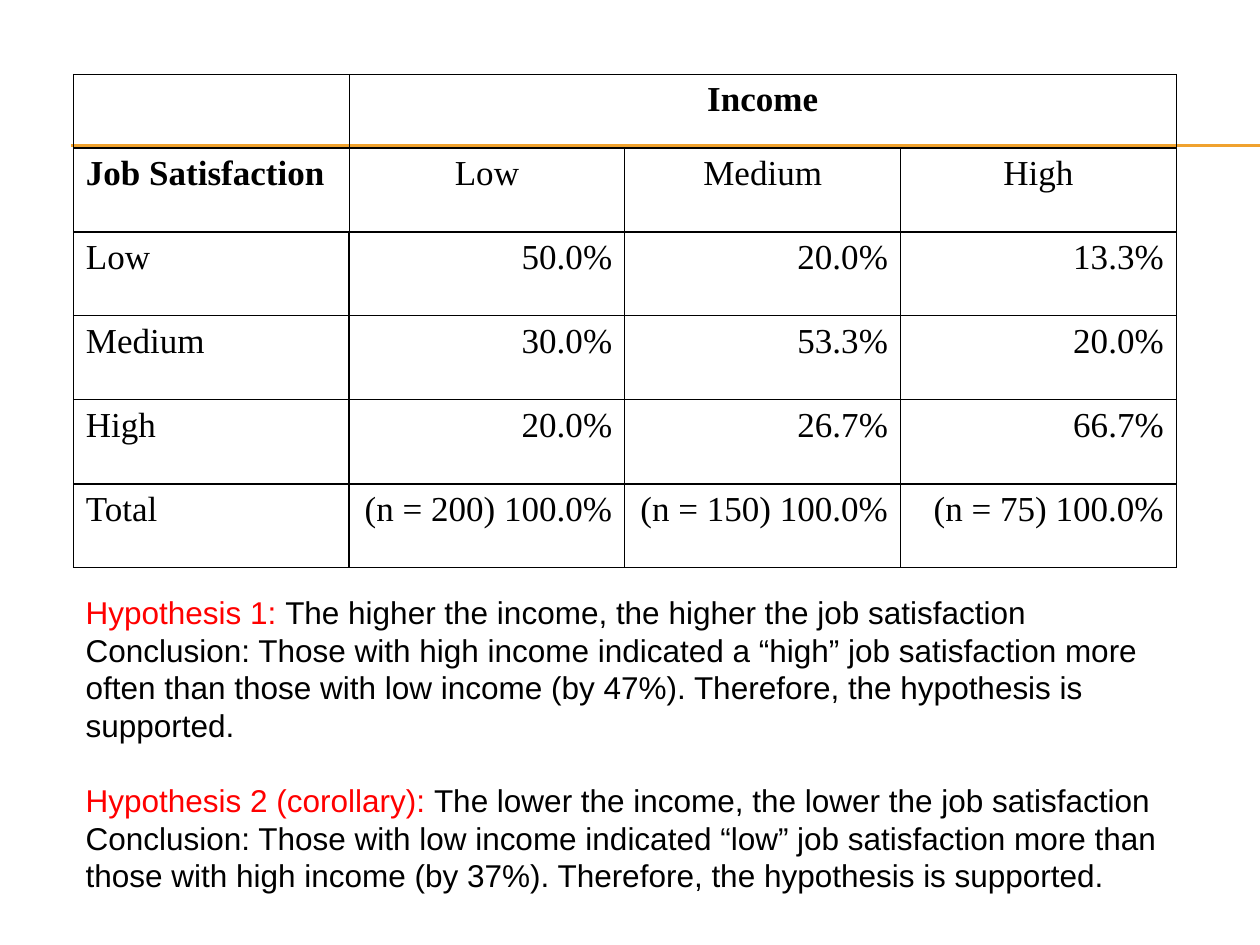
from lxml import etree
from pptx import Presentation
from pptx.dml.color import RGBColor
from pptx.enum import shapes, text
from pptx.oxml.ns import qn
from pptx.util import Pt

THEME = {
    "ink": "000000", "accent": "FF0000", "rule": "F0A22E",
    "table_font": "Times New Roman", "body_font": "Arial",
    "table_size": 20, "body_size": 18, "leading": 21.5,
    "thin": 0.75, "thick": 1,
}

ROWS = [
    ["", "Income", "", ""],
    ["Job Satisfaction", "Low", "Medium", "High"],
    ["Low", "50.0%", "20.0%", "13.3%"],
    ["Medium", "30.0%", "53.3%", "20.0%"],
    ["High", "20.0%", "26.7%", "66.7%"],
    ["Total", "(n = 200) 100.0%", "(n = 150) 100.0%", "(n = 75) 100.0%"],
]
HYPOTHESES = [
    ("Hypothesis 1: ", "The higher the income, the higher the job satisfaction",
     "Conclusion: Those with high income indicated a “high” job satisfaction more often "
     "than those with low income (by 47%). Therefore, the hypothesis is supported."),
    ("Hypothesis 2 (corollary): ", "The lower the income, the lower the job satisfaction",
     "Conclusion: Those with low income indicated “low” job satisfaction more than "
     "those with high income (by 37%). Therefore, the hypothesis is supported."),
]
ROW_HEIGHTS = [42, 48, 48, 48, 48, 48]
COLUMN_WIDTH = 157.6
TABLE_LEFT, TABLE_TOP = 41.9, 42.5
RULE_LEFT, RULE_TOPS = 40.5, (82.8, 83.5)
THICK_ROW_EDGES = {1, 2, 5, 6}
THICK_COLUMN_EDGES = {1, 4}


def write(paragraph, content, font, size, color=THEME["ink"], bold=False):
    run = paragraph.add_run()
    run.text = content
    run.font.name = font
    run.font.size = Pt(size)
    run.font.bold = bold
    run.font.color.rgb = RGBColor.from_string(color)


def add_border(cell, side, width):
    border = etree.SubElement(cell._tc.get_or_add_tcPr(), qn("a:ln" + side), w=str(Pt(width)))
    fill = etree.SubElement(border, qn("a:solidFill"))
    etree.SubElement(fill, qn("a:srgbClr"), val=THEME["ink"])


def edge_width(index, thick_edges):
    return THEME["thick"] if index in thick_edges else THEME["thin"]


def alignment(row, column):
    if column == 0:
        return text.PP_ALIGN.LEFT
    return text.PP_ALIGN.CENTER if row < 2 else text.PP_ALIGN.RIGHT


def add_rules(slide, slide_width):
    for top in RULE_TOPS:
        rule = slide.shapes.add_connector(
            shapes.MSO_CONNECTOR.STRAIGHT, Pt(RULE_LEFT), Pt(top), slide_width, Pt(top))
        rule.line.color.rgb = RGBColor.from_string(THEME["rule"])
        rule.line.width = Pt(THEME["thin"])
        etree.SubElement(rule._element.spPr, qn("a:effectLst"))


def add_crosstab(slide):
    columns = len(ROWS[0])
    crosstab = slide.shapes.add_table(
        len(ROWS), columns, Pt(TABLE_LEFT), Pt(TABLE_TOP),
        Pt(COLUMN_WIDTH * columns), Pt(sum(ROW_HEIGHTS))).table
    crosstab.first_row = crosstab.horz_banding = False
    for column in crosstab.columns:
        column.width = Pt(COLUMN_WIDTH)
    for row, height in zip(crosstab.rows, ROW_HEIGHTS):
        row.height = Pt(height)
    crosstab.cell(0, 1).merge(crosstab.cell(0, columns - 1))

    for r, values in enumerate(ROWS):
        for c, value in enumerate(values):
            cell = crosstab.cell(r, c)
            right_edges = THICK_COLUMN_EDGES if r > 1 else set()
            add_border(cell, "L", edge_width(c, right_edges))
            add_border(cell, "R", edge_width(c + 1, right_edges))
            add_border(cell, "T", edge_width(r, THICK_ROW_EDGES))
            add_border(cell, "B", edge_width(r + 1, THICK_ROW_EDGES))
            cell.fill.background()
            if value:
                paragraph = cell.text_frame.paragraphs[0]
                paragraph.alignment = alignment(r, c)
                write(paragraph, value, THEME["table_font"], THEME["table_size"],
                      bold=value in ("Income", "Job Satisfaction"))


def add_hypotheses(slide):
    frame = slide.shapes.add_textbox(Pt(41.9), Pt(335.5), Pt(643), Pt(180)).text_frame
    frame.word_wrap = True
    body = {"font": THEME["body_font"], "size": THEME["body_size"]}
    for index, (label, claim, conclusion) in enumerate(HYPOTHESES):
        statement = frame.add_paragraph() if index else frame.paragraphs[0]
        if index:
            statement.space_before = Pt(THEME["leading"])
        write(statement, label, color=THEME["accent"], **body)
        write(statement, claim, **body)
        write(frame.add_paragraph(), conclusion, **body)
    for paragraph in frame.paragraphs:
        paragraph.line_spacing = Pt(THEME["leading"])


def main():
    deck = Presentation()
    deck.slide_width, deck.slide_height = Pt(720), Pt(540)
    slide = deck.slides.add_slide(deck.slide_layouts[6])
    add_rules(slide, deck.slide_width)
    add_crosstab(slide)
    add_hypotheses(slide)
    deck.save("out.pptx")


if __name__ == "__main__":
    main()
